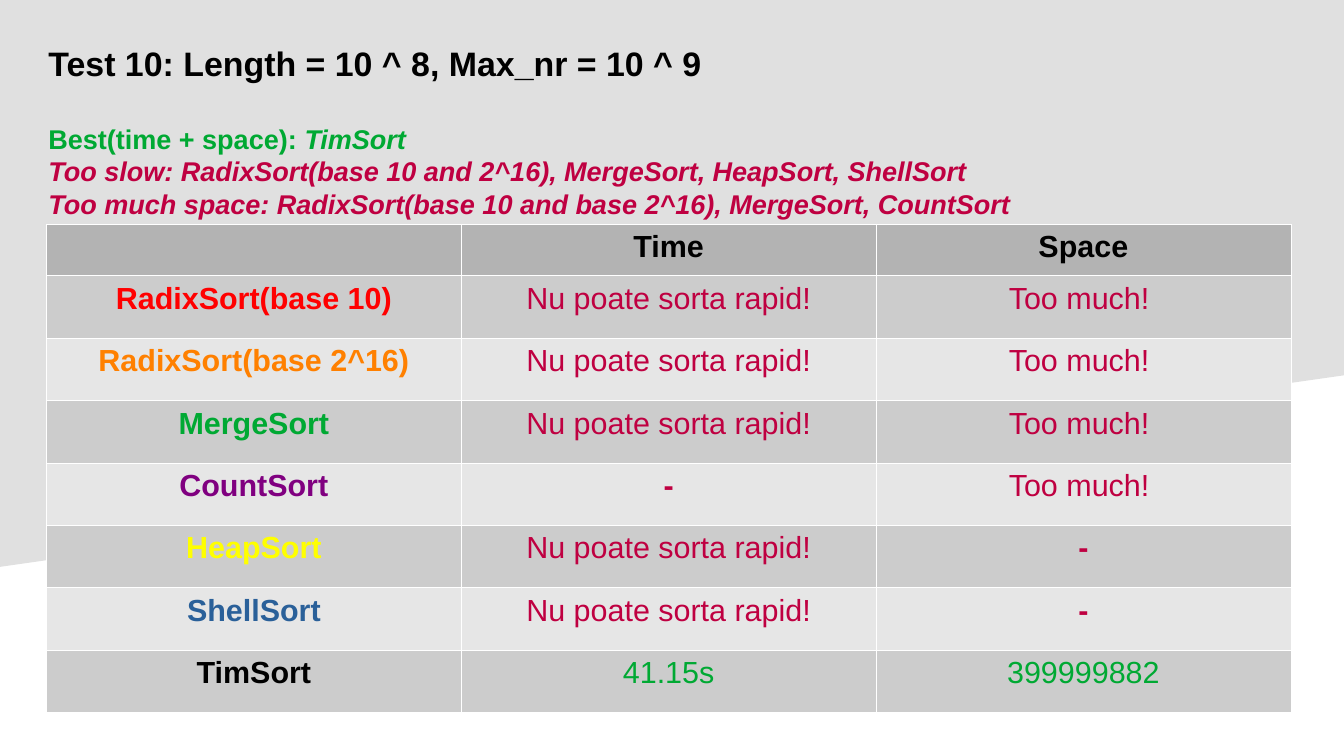
"""Build a slide that compares sorting runs in a table."""
from lxml.etree import SubElement
from pptx import Presentation as Deck
from pptx.dml.color import RGBColor as Rgb
from pptx.enum.text import PP_ALIGN as Align
from pptx.oxml.ns import qn
from pptx.util import Cm, Pt

BLACK = Rgb(0x00, 0x00, 0x00)
WHITE = Rgb(0xFF, 0xFF, 0xFF)
GREEN = Rgb(0x00, 0xA9, 0x33)
WINE = Rgb(0xBF, 0x00, 0x41)
RED = Rgb(0xFF, 0x00, 0x00)
AMBER = Rgb(0xFF, 0x80, 0x00)
PLUM = Rgb(0x80, 0x00, 0x80)
YELLOW = Rgb(0xFF, 0xFF, 0x00)
BLUE = Rgb(0x2A, 0x60, 0x99)
PALE = Rgb(0xE0, 0xE0, 0xE0)
HEAD = Rgb(0xB3, 0xB3, 0xB3)
DARK = Rgb(0xCC, 0xCC, 0xCC)
LIGHT = Rgb(0xE6, 0xE6, 0xE6)

SLOW = "Nu poate sorta rapid!"
BIG = "Too much! "


def write(para, text, color, **form):
    """Add a run in the given format."""
    run = para.add_run()
    run.text = text
    run.font.color.rgb = color
    for key, val in ({"name": "Arial", "bold": True} | form).items():
        setattr(run.font, key, val)


def edge(cell):
    """Draw thin white lines around a cell."""
    props = cell._tc.get_or_add_tcPr()
    for pos, side in enumerate(("a:lnL", "a:lnR", "a:lnT", "a:lnB")):
        line = props.makeelement(qn(side), {"w": "762"})
        fill = SubElement(line, qn("a:solidFill"))
        SubElement(fill, qn("a:srgbClr"), val=str(WHITE))
        props.insert(pos, line)


deck = Deck()
deck.slide_width, deck.slide_height = Cm(28), Cm(15.75)
slide = deck.slides.add_slide(deck.slide_layouts[6])
shapes = slide.shapes

pen = shapes.build_freeform(0, Cm(11.81))
pen.add_line_segments([(0, 0), (Cm(28), 0), (Cm(28), Cm(7.82))])
back = pen.convert_to_shape()
back.shadow.inherit = False
back.fill.solid()
back.fill.fore_color.rgb = PALE
back.line.fill.background()

frame = shapes.add_textbox(Cm(0.76), Cm(0.76), Cm(27.24), Cm(14.99)).text_frame
frame.word_wrap = True
title = frame.paragraphs[0]
title.space_after = Pt(23)
write(title, "Test 10: Length = 10 ^ 8, Max_nr = 10 ^ 9", BLACK, size=Pt(20))

notes = [
    [("Best(time + space): ", GREEN, False), ("TimSort", GREEN, True)],
    [("Too slow: RadixSort(base 10 and 2^16), MergeSort, HeapSort, ShellSort",
      WINE, True)],
    [("Too much space: RadixSort(base 10 and base 2^16), MergeSort, CountSort",
      WINE, True)],
]
for note in notes:
    para = frame.add_paragraph()
    for text, color, slant in note:
        write(para, text, color, size=Pt(16), italic=slant)

rows = [
    ("", BLACK, "Time", "Space", BLACK),
    ("RadixSort(base 10)", RED, SLOW, BIG, WINE),
    ("RadixSort(base 2^16)", AMBER, SLOW, BIG, WINE),
    ("MergeSort", GREEN, SLOW, BIG, WINE),
    ("CountSort", PLUM, "-", BIG, WINE),
    ("HeapSort", YELLOW, SLOW, "-", WINE),
    ("ShellSort", BLUE, SLOW, "-", WINE),
    ("TimSort", BLACK, "41.15s", "399999882", GREEN),
]
table = shapes.add_table(
    len(rows), 3, Cm(0.97), Cm(4.67), Cm(25.92), Cm(10.17)).table
for col in table.columns:
    col.width = Cm(8.64)
for num, (name, hue, time, space, tint) in enumerate(rows):
    table.rows[num].height = Cm(1.3 if num else 1.07)
    shade = (DARK if num % 2 else LIGHT) if num else HEAD
    for col, (text, color) in enumerate([(name, hue), (time, tint), (space, tint)]):
        cell = table.cell(num, col)
        cell.fill.solid()
        cell.fill.fore_color.rgb = shade
        edge(cell)
        if text:
            para = cell.text_frame.paragraphs[0]
            para.alignment = Align.CENTER
            bold = num == 0 or col == 0 or text == "-"
            write(para, text, color, size=Pt(18), bold=bold)

deck.save("out.pptx")
